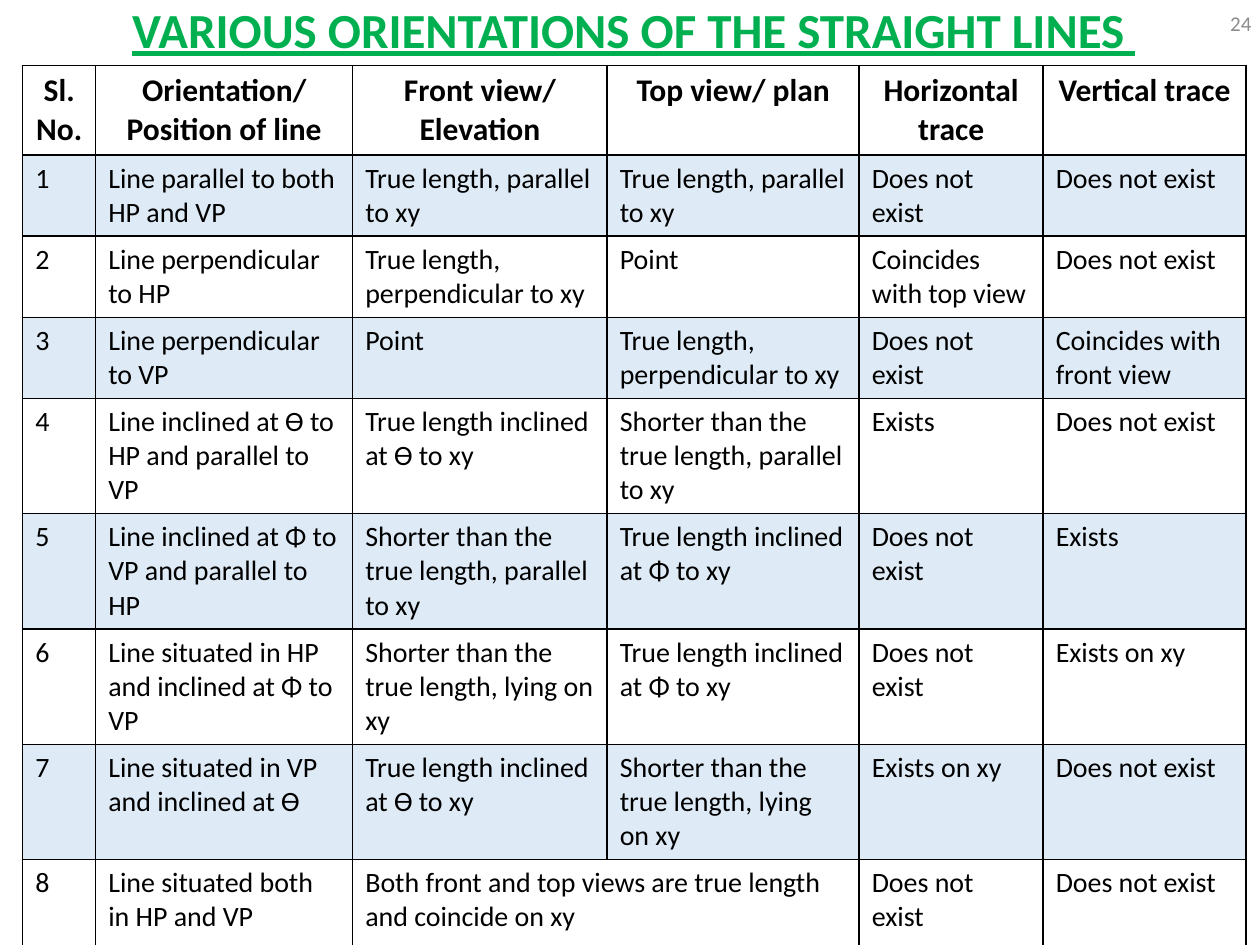
from lxml import etree
from pptx import Presentation
from pptx import util as u
from pptx.dml import color
from pptx.enum import text
from pptx.oxml import ns

COLORS = {"title": "00B050", "ink": "000000", "band": "DEEBF7", "number": "8C8C8C"}
COLUMNS = [0.58, 2.04, 2.02, 2, 1.46, 1.61]
ROWS = [0.67] + [0.61] * 3 + [0.86] * 4 + [0.82]
HEADERS = ["Sl. No.", "Orientation/ Position of line", "Front view/ Elevation",
           "Top view/ plan", "Horizontal trace", "Vertical trace"]
ABSENT = "Does not exist"
PARALLEL = "True length, parallel to xy"
PERPENDICULAR = "True length, perpendicular to xy"
THETA = "True length inclined at Ɵ to xy"
PHI = "True length inclined at Φ to xy"
SHORT_PARALLEL = "Shorter than the true length, parallel to xy"
SHORT_LYING = "Shorter than the true length, lying on xy"
ORIENTATIONS = [
    ["Line parallel to both HP and VP", PARALLEL, PARALLEL, ABSENT, ABSENT],
    ["Line perpendicular to HP", PERPENDICULAR, "Point", "Coincides with top view", ABSENT],
    ["Line perpendicular to VP", "Point", PERPENDICULAR, ABSENT, "Coincides with front view"],
    ["Line inclined at Ɵ to HP and parallel to VP", THETA, SHORT_PARALLEL, "Exists", ABSENT],
    ["Line inclined at Φ to VP and parallel to HP", SHORT_PARALLEL, PHI, ABSENT, "Exists"],
    ["Line situated in HP and inclined at Φ to VP", SHORT_LYING, PHI, ABSENT, "Exists on xy"],
    ["Line situated in VP and inclined at Ɵ", THETA, SHORT_LYING, "Exists on xy", ABSENT],
    ["Line situated both in HP and VP",
     "Both front and top views are true length and coincide on xy", "", ABSENT, ABSENT],
]


def write(frame, wording, ink, align, **formats):
    paragraph = frame.paragraphs[0]
    paragraph.alignment = align
    run = paragraph.add_run()
    run.text = wording
    run.font.color.rgb = color.RGBColor.from_string(COLORS[ink])
    for name, value in {"name": "Calibri", **formats}.items():
        setattr(run.font, name, value)
    return paragraph


def draw_borders(cell):
    properties = cell._tc.get_or_add_tcPr()
    for index, side in enumerate(["lnL", "lnR", "lnT", "lnB"]):
        line = etree.Element(ns.qn(f"a:{side}"), w=str(u.Pt(1)))
        fill = etree.SubElement(line, ns.qn("a:solidFill"))
        etree.SubElement(fill, ns.qn("a:srgbClr"), val=COLORS["ink"])
        properties.insert(index, line)


presentation = Presentation()
presentation.slide_width, presentation.slide_height = u.Inches(10), u.Inches(7.5)
slide = presentation.slides.add_slide(presentation.slide_layouts[5])

title = slide.shapes.title
title_box = {"left": 0.03, "top": -0.29, "width": 10, "height": 0.81}
for name, value in title_box.items():
    setattr(title, name, u.Inches(value))
title.text_frame.vertical_anchor = text.MSO_ANCHOR.BOTTOM
title.text_frame.auto_size = text.MSO_AUTO_SIZE.NONE
heading = write(title.text_frame, "VARIOUS ORIENTATIONS OF THE STRAIGHT LINES ", "title",
                text.PP_ALIGN.CENTER, size=u.Pt(28), bold=True, underline=True)
heading.line_spacing = 0.9

table = slide.shapes.add_table(
    len(ROWS), len(COLUMNS), u.Inches(0.18), u.Inches(0.52),
    u.Inches(sum(COLUMNS)), u.Inches(sum(ROWS))).table
table.first_row = table.horz_banding = False
for column, width in zip(table.columns, COLUMNS):
    column.width = u.Inches(width)
for row, height in zip(table.rows, ROWS):
    row.height = u.Inches(height)
table.cell(8, 2).merge(table.cell(8, 3))

entries = [HEADERS] + [[str(i), *entry] for i, entry in enumerate(ORIENTATIONS, 1)]
for r, entry in enumerate(entries):
    header = r == 0
    align = text.PP_ALIGN.CENTER if header else text.PP_ALIGN.LEFT
    for c, wording in enumerate(entry):
        cell = table.cell(r, c)
        if r % 2:
            cell.fill.solid()
            cell.fill.fore_color.rgb = color.RGBColor.from_string(COLORS["band"])
        else:
            cell.fill.background()
        draw_borders(cell)
        if wording:
            write(cell.text_frame, wording, "ink", align,
                  size=u.Pt(18 if header else 16), bold=header)

number = slide.shapes.add_textbox(u.Inches(7.78), u.Inches(-0.02), u.Inches(2.25), u.Inches(0.4))
number.text_frame.word_wrap = True
number.text_frame.vertical_anchor = text.MSO_ANCHOR.MIDDLE
write(number.text_frame, "24", "number", text.PP_ALIGN.RIGHT, size=u.Pt(12))

presentation.save("out.pptx")
